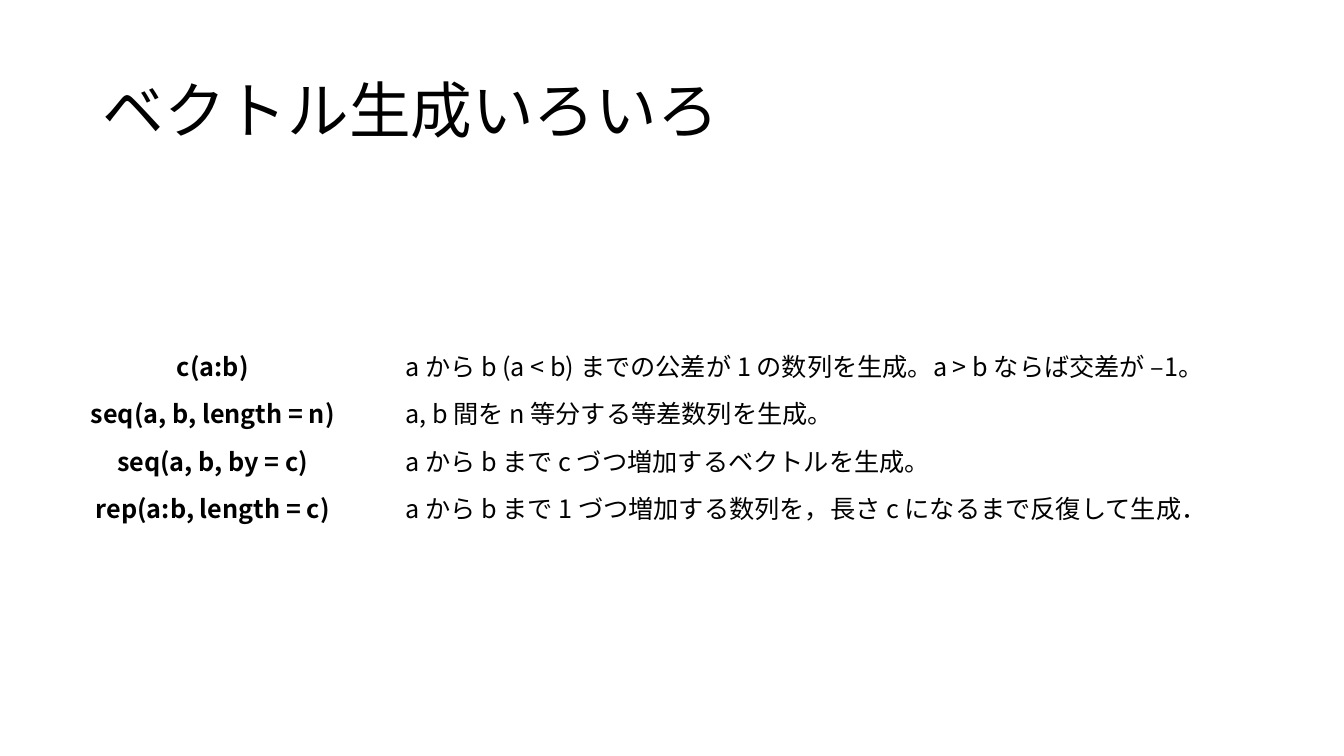
from pptx import Presentation
from pptx.dml.color import RGBColor
from pptx.enum.text import MSO_ANCHOR, PP_ALIGN
from pptx.oxml.ns import qn
from pptx.util import Inches, Pt
from lxml import etree

LEFT, CENTER = PP_ALIGN.LEFT, PP_ALIGN.CENTER
MIDDLE = MSO_ANCHOR.MIDDLE
FONT = "Noto Sans CJK JP"
BLACK = "000000"

# Content
TITLE = "ベクトル生成いろいろ"
FUNCTIONS = [
    ("", ""),
    ("c(a:b)", "a から b (a < b) までの公差が 1 の数列を生成。a > b ならば交差が –1。"),
    ("seq(a, b, length = n)", "a, b 間を n 等分する等差数列を生成。"),
    ("seq(a, b, by = c)", "a から b まで c づつ増加するベクトルを生成。"),
    ("rep(a:b, length = c)", "a から b まで 1 づつ増加する数列を，長さ c になるまで反復して生成．"),
]
COL_WIDTHS = (3.62, 9.11)
ROW_HEIGHT = 0.47


def color(value):
    return RGBColor.from_string(value)


def write(tf, text, size, bold=False, align=LEFT):
    p = tf.paragraphs[0]
    p.text = text
    p.alignment = align
    for r in p.runs:
        r.font.size = Pt(size)
        r.font.bold = bold
        r.font.name = FONT
        r.font.color.rgb = color(BLACK)
        # East Asian typeface
        etree.SubElement(r.font._element, qn("a:ea"), typeface=FONT)
    return p


prs = Presentation()
prs.slide_width, prs.slide_height = Inches(13.33), Inches(7.5)
s = prs.slides.add_slide(prs.slide_layouts[6])

# Title
tf = s.shapes.add_textbox(Inches(0.92), Inches(0.4), Inches(11.5), Inches(1.45)).text_frame
tf.word_wrap = True
tf.vertical_anchor = MIDDLE
write(tf, TITLE, 44).line_spacing = 0.9

# Function table
table = s.shapes.add_table(
    len(FUNCTIONS), len(COL_WIDTHS), Inches(0.3), Inches(2.92),
    Inches(sum(COL_WIDTHS)), Inches(ROW_HEIGHT * len(FUNCTIONS))).table
table.first_row = False
table.horz_banding = False
for column, width in zip(table.columns, COL_WIDTHS):
    column.width = Inches(width)

for i, row in enumerate(FUNCTIONS):
    for j, text in enumerate(row):
        cell = table.cell(i, j)
        cell.fill.background()
        cell.vertical_anchor = MIDDLE
        write(cell.text_frame, text, 18, bold=j == 0, align=CENTER if j == 0 else LEFT)

prs.save("out.pptx")
